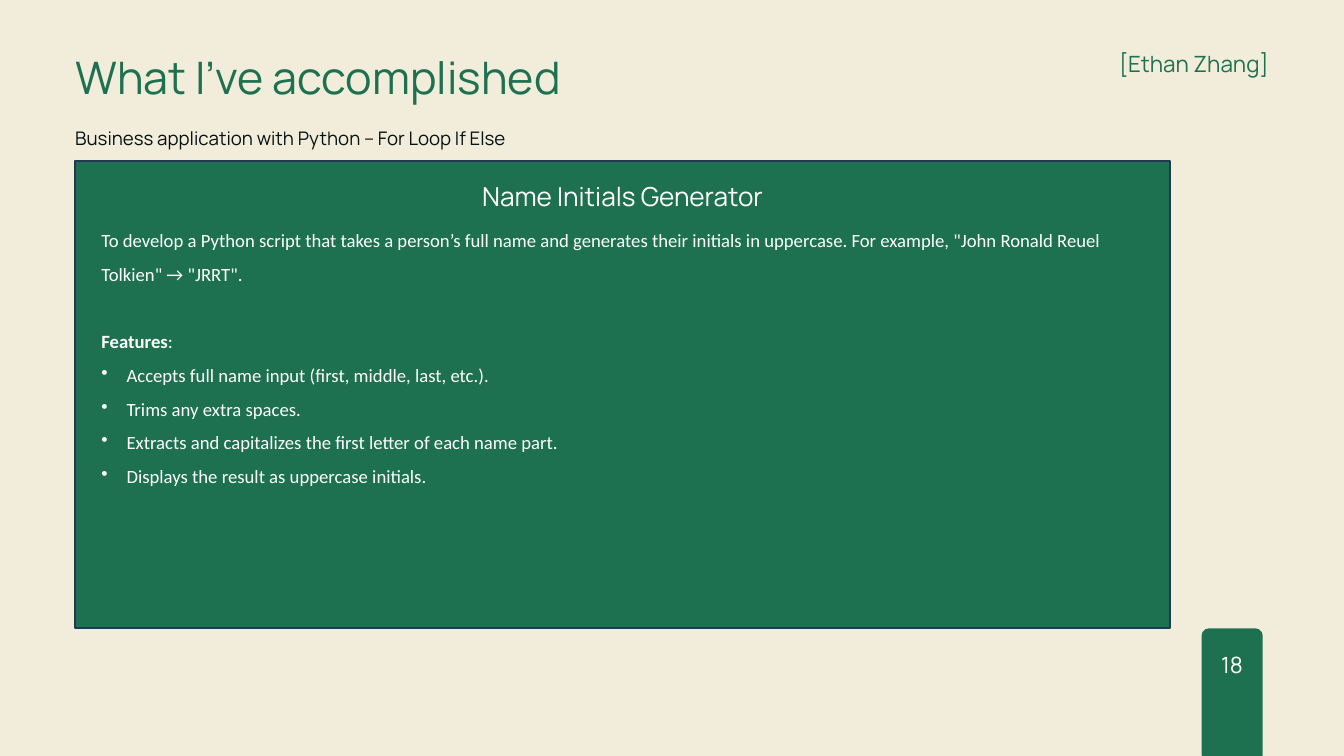
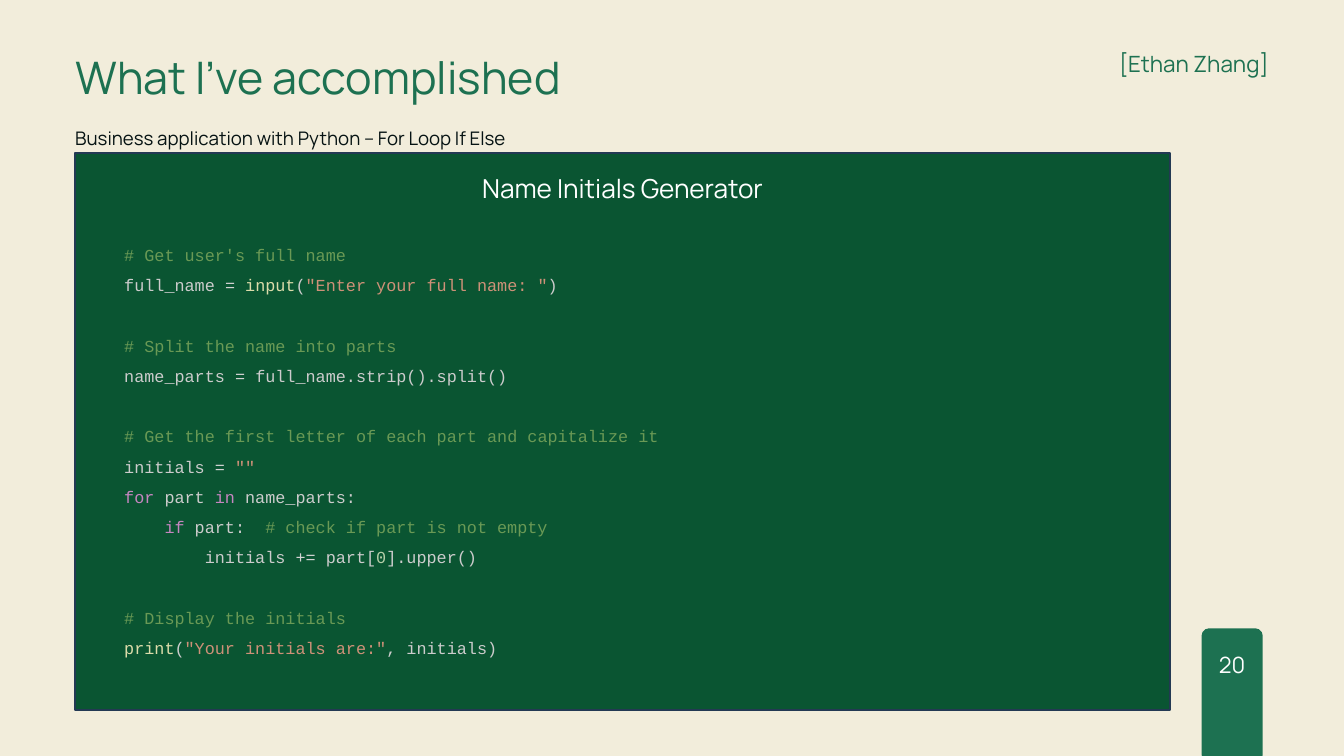
from pptx import Presentation
from pptx import util as u
from pptx.dml import color
from pptx.enum import shapes, text
from lxml import etree

Pt = u.Pt
GREEN, DARK, WHITE, INK = "1D7151", "0A5532", "FFFFFF", "061313"
EDGE, CREAM = "233953", "F2EDDB"
NOTE, PLAIN, SIGN, CALL = "6A9955", "CCCCCC", "D4D4D4", "DCDCAA"
QUOTE, KEY, NUM = "CE9178", "C586C0", "B5CEA8"
HEAD = "Manrope"
LEFT, RIGHT, CENTER = text.PP_ALIGN.LEFT, text.PP_ALIGN.RIGHT, text.PP_ALIGN.CENTER
BARE = dict(margin_left=0, margin_top=0, margin_right=0, margin_bottom=0,
            word_wrap=True, vertical_anchor=text.MSO_ANCHOR.TOP)
OPEN = dict(word_wrap=True, vertical_anchor=text.MSO_ANCHOR.TOP)


def rgb(code):
    return color.RGBColor.from_string(code)


def write(par, runs, size, font, **form):
    for name, value in form.items():
        setattr(par, name, value)
    for words, shade in runs:
        run = par.add_run()
        run.text = words
        run.font.size = Pt(size)
        run.font.name = font
        run.font.color.rgb = rgb(shade)


deck = Presentation()
deck.slide_width, deck.slide_height = Pt(1440), Pt(810)
back = deck.slide_master.background.fill
back.solid()
back.fore_color.rgb = rgb(CREAM)

pages = [
    dict(num="18", top=172.8, high=499.7, fill=GREEN, body=(101.5, 229.7, 1128.2, 294.5)),
    dict(num="20", top=164.2, high=596.9, fill=DARK, body=(126, 247.7, 727.2, 461.5)),
]
frames = []
for page in pages:
    slide = deck.slides.add_slide(deck.slide_layouts[5])

    tab = slide.shapes.add_shape(shapes.MSO_SHAPE.ROUNDED_RECTANGLE,
                                 Pt(1287.4), Pt(673.2), Pt(65.5), Pt(143.3))
    tab.adjustments[0] = 0.12
    panel = slide.shapes.add_shape(shapes.MSO_SHAPE.RECTANGLE, Pt(80.6),
                                   Pt(page["top"]), Pt(1172.9), Pt(page["high"]))
    for shape, fill in ((tab, GREEN), (panel, page["fill"])):
        shape.shadow.inherit = False
        shape.fill.solid()
        shape.fill.fore_color.rgb = rgb(fill)
    tab.line.fill.background()
    panel.line.color.rgb = rgb(EDGE)
    panel.line.width = Pt(2)
    for name, value in OPEN.items():
        setattr(panel.text_frame, name, value)
    write(panel.text_frame.paragraphs[0], [("Name Initials Generator", WHITE)],
          28, HEAD, alignment=CENTER, line_spacing=1.5)

    labels = [
        ("What I’ve accomplished", (80.6, 54.7, 1172.9, 56.9), 48, GREEN, LEFT, 56),
        ("Business application with Python – For Loop If Else",
         (80.6, 120.2, 770, 35.3), 20, INK, LEFT, 39.2),
        ("[Ethan Zhang]", (1079.3, 49, 280, 33.1), 24, GREEN, RIGHT, 33.6),
        (page["num"], (1296, 692.6, 48.2, 33.1), 24, WHITE, CENTER, 33.6),
    ]
    for i, (words, place, size, shade, align, pitch) in enumerate(labels):
        spot = [Pt(n) for n in place]
        if i == 0:
            box = slide.shapes.title
            box.left, box.top, box.width, box.height = spot
        else:
            box = slide.shapes.add_textbox(*spot)
        for name, value in BARE.items():
            setattr(box.text_frame, name, value)
        write(box.text_frame.paragraphs[0], [(words, shade)], size, HEAD,
              alignment=align, line_spacing=Pt(pitch))

    body = slide.shapes.add_textbox(*[Pt(n) for n in page["body"]])
    for name, value in OPEN.items():
        setattr(body.text_frame, name, value)
    frames.append(body.text_frame)

goal, code = frames
write(goal.paragraphs[0], [(
    "To develop a Python script that takes a person’s full name and generates their "
    "initials in uppercase. For example, \"John Ronald Reuel Tolkien\" → \"JRRT\".",
    WHITE)], 20, "Calibri", line_spacing=1.5)
par = goal.add_paragraph()
write(par, [("Features", WHITE), (":", WHITE)], 20, "Calibri",
      line_spacing=1.5, space_before=Pt(36.5))
par.runs[0].font.bold = True

points = [
    "Accepts full name input (first, middle, last, etc.).",
    "Trims any extra spaces.",
    "Extracts and capitalizes the first letter of each name part.",
    "Displays the result as uppercase initials.",
]
for point in points:
    par = goal.add_paragraph()
    write(par, [(point, WHITE)], 20, "Calibri", line_spacing=1.5)
    props = par._p.get_or_add_pPr()
    props.set("marL", str(Pt(27)))
    props.set("indent", str(-Pt(27)))
    mark = etree.SubElement(props, props.tag.replace("pPr", "buChar"))
    mark.set("char", "•")

blocks = [
    [
        (0, [("# Get user's full name", NOTE)]),
        (0, [("full_name ", PLAIN), ("= ", SIGN), ("input", CALL), ("(", PLAIN),
             ("\"Enter your full name: \"", QUOTE), (")", PLAIN)]),
    ],
    [
        (0, [("# Split the name into parts", NOTE)]),
        (0, [("name_parts ", PLAIN), ("= ", SIGN), ("full_name.strip().split()", PLAIN)]),
    ],
    [
        (0, [("# Get the first letter of each part and capitalize it", NOTE)]),
        (0, [("initials ", PLAIN), ("= ", SIGN), ("\"\"", QUOTE)]),
        (0, [("for", KEY), (" part ", PLAIN), ("in ", KEY), ("name_parts:", PLAIN)]),
        (1, [("if", KEY), (" part:  ", PLAIN), ("# check if part is not empty", NOTE)]),
        (2, [("initials ", PLAIN), ("+=", SIGN), (" part[", PLAIN), ("0", NUM),
             ("].upper()", PLAIN)]),
    ],
    [
        (0, [("# Display the initials", NOTE)]),
        (0, [("print", CALL), ("(", PLAIN), ("\"Your initials are:\"", QUOTE),
             (", initials)", PLAIN)]),
    ],
]
for b, block in enumerate(blocks):
    for n, (depth, runs) in enumerate(block):
        first = b == 0 and n == 0
        par = code.paragraphs[0] if first else code.add_paragraph()
        gap = 32.4 if b and n == 0 else 0
        write(par, runs, 18, "Courier New", line_spacing=1.5, space_before=Pt(gap))
        par._p.get_or_add_pPr().set("marL", str(Pt(43.2 * depth)))

deck.save("out.pptx")
